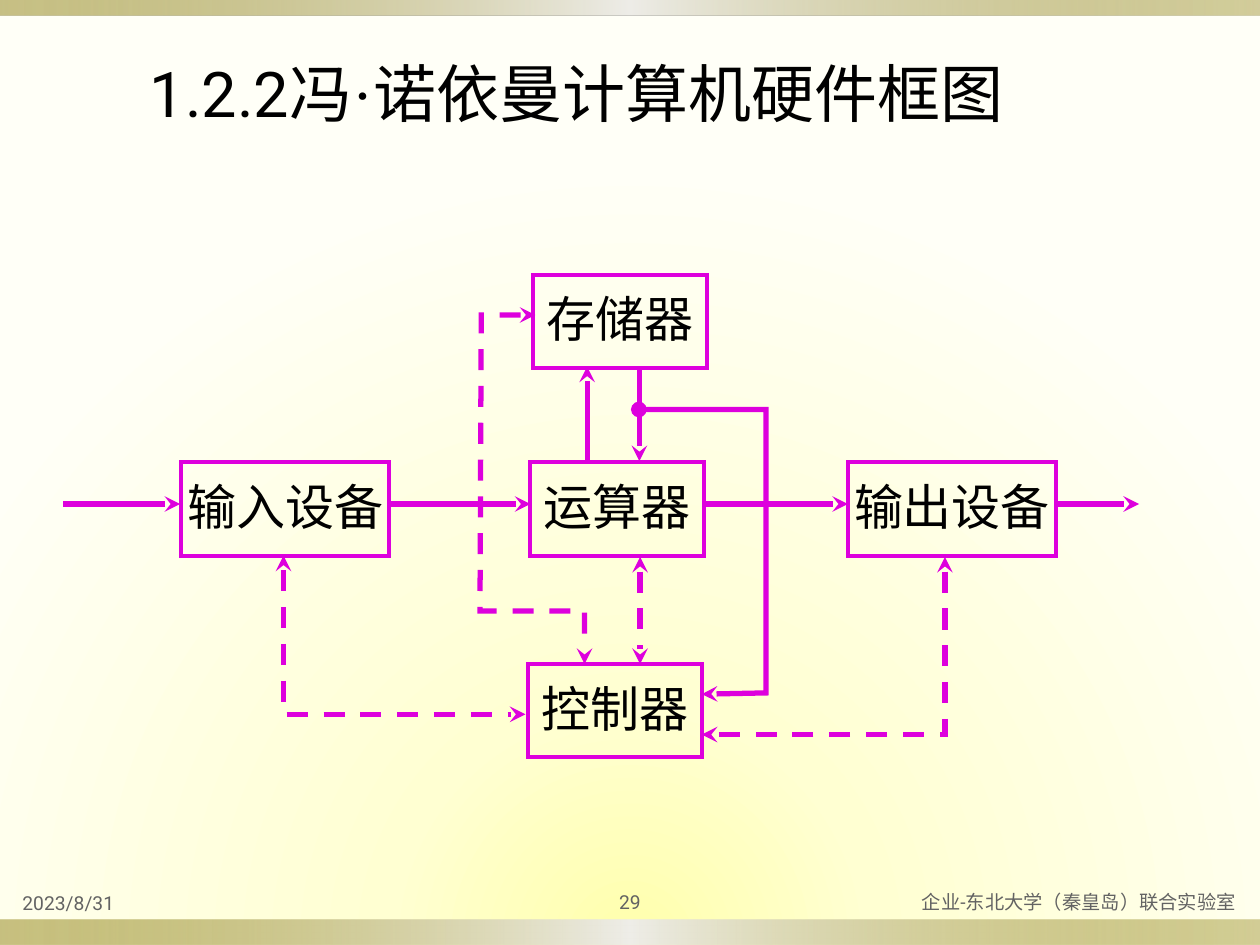
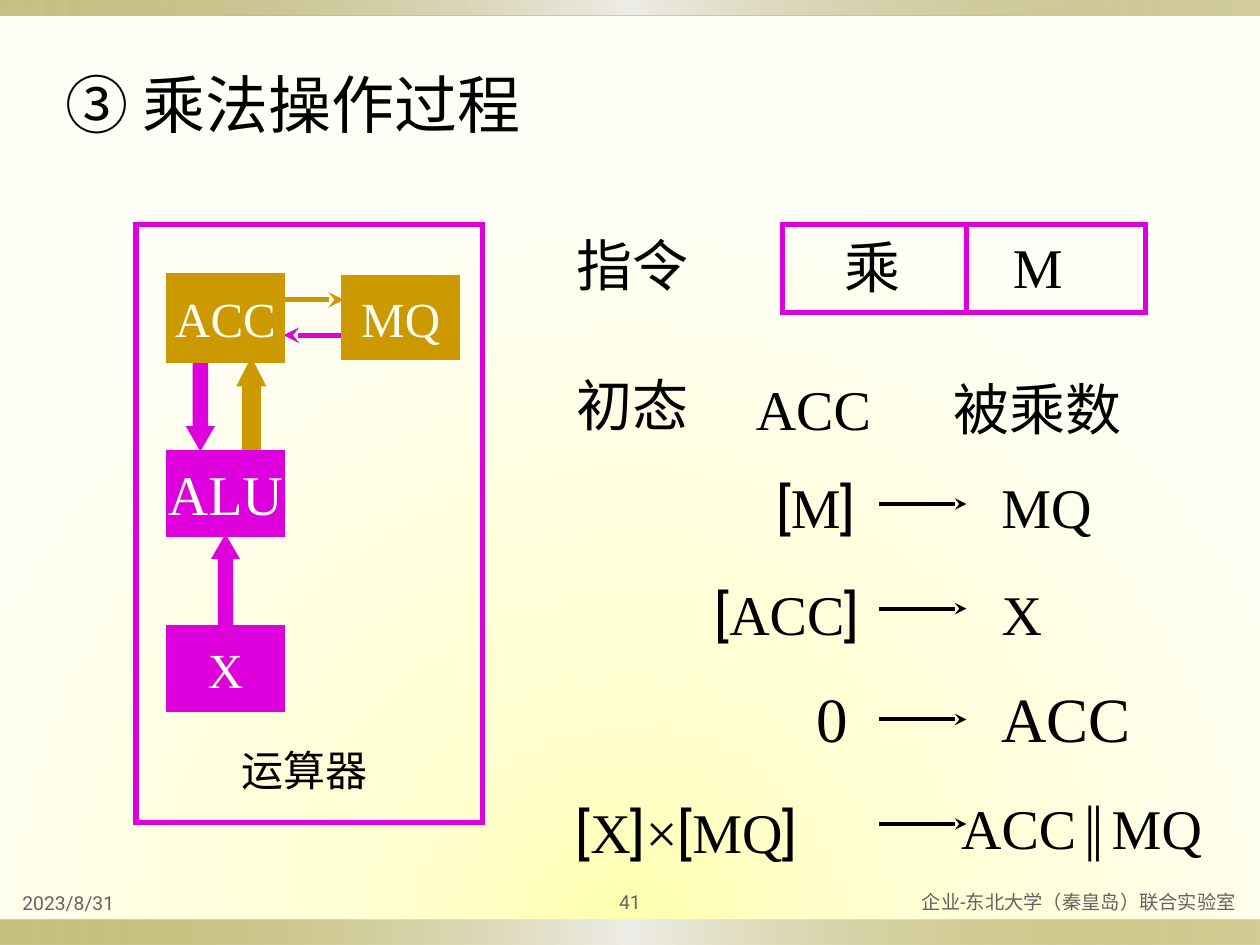
from itertools import groupby

from lxml import etree
from pptx import Presentation
from pptx.dml.color import RGBColor
from pptx.enum.dml import MSO_LINE
from pptx.enum.shapes import MSO_CONNECTOR, MSO_SHAPE
from pptx.enum.text import MSO_ANCHOR, MSO_AUTO_SIZE, PP_ALIGN
from pptx.oxml import parse_xml
from pptx.oxml.ns import nsdecls, qn
from pptx.util import Inches, Pt

RECTANGLE = MSO_SHAPE.RECTANGLE
UP_ARROW = MSO_SHAPE.UP_ARROW
STRAIGHT = MSO_CONNECTOR.STRAIGHT
DASH = MSO_LINE.DASH
LEFT, CENTER, RIGHT = PP_ALIGN.LEFT, PP_ALIGN.CENTER, PP_ALIGN.RIGHT
TOP, MIDDLE, BOTTOM = MSO_ANCHOR.TOP, MSO_ANCHOR.MIDDLE, MSO_ANCHOR.BOTTOM
FIT_SHAPE, NO_FIT = MSO_AUTO_SIZE.SHAPE_TO_FIT_TEXT, MSO_AUTO_SIZE.NONE

CELL = Inches(0.1)
COLUMNS, ROWS = 100, 75
SANS, SERIF = "Roboto", "Times New Roman"
MAGENTA, GOLD, BLACK, IVORY, GRAY = "DD00DD", "CC9900", "000000", "FFFFF4", "636363"
BAND_STOPS = [(0, "918415", 50), (50, "EEEDE8", 100), (100, "918415", 40)]
GLOW_STOPS = [(0, "FFFFAC", 100), (31, "FFFFD2", 100), (100, "FFFFF7", 100)]
BAND_DIRECTION = '<a:lin ang="0" scaled="0"/>'
GLOW_DIRECTION = ('<a:path path="circle"><a:fillToRect l="50000" t="150000" '
                  'r="50000" b="0"/></a:path>')


def grid(*cells):
    return [round(cell * CELL) for cell in cells]


def paint(fill, color):
    fill.solid()
    fill.fore_color.rgb = RGBColor.from_string(color)


def gradient(stops, direction):
    stop_xml = "".join(
        f'<a:gs pos="{position * 1000}"><a:srgbClr val="{color}">'
        f'<a:alpha val="{opacity * 1000}"/></a:srgbClr></a:gs>'
        for position, color, opacity in stops)
    return parse_xml(f'<a:gradFill {nsdecls("a")} rotWithShape="1">'
                     f'<a:gsLst>{stop_xml}</a:gsLst>{direction}</a:gradFill>')


def style_line(shape, color, width, head=None, tail=None, dash=None):
    paint(shape.line.fill, color)
    shape.line.width = Pt(width)
    if dash:
        shape.line.dash_style = dash
    outline = shape.element.spPr.find(qn("a:ln"))
    etree.SubElement(outline, qn("a:miter"), lim="800000")
    for tag, kind in (("a:headEnd", head), ("a:tailEnd", tail)):
        if kind:
            etree.SubElement(outline, qn(tag), type=kind)


def write(text_frame, content, size, color=BLACK, font=SANS, align=LEFT):
    paragraph = text_frame.paragraphs[0]
    paragraph.alignment = align
    if isinstance(content, str):
        paragraph.text = content
        paragraph.font.name = font
    else:
        for text, run_font in content:
            run = paragraph.add_run()
            run.text = text
            run.font.name = run_font
    paragraph.font.size = Pt(size)
    paragraph.font.bold = False
    paint(paragraph.font.fill, color)
    return paragraph


def set_margins(text_frame, horizontal, vertical):
    text_frame.margin_left = text_frame.margin_right = horizontal
    text_frame.margin_top = text_frame.margin_bottom = vertical


def add_label(slide, place, content, size=32, font=SANS, align=LEFT):
    label = slide.shapes.add_textbox(*grid(*place))
    label.text_frame.word_wrap = False
    label.text_frame.auto_size = FIT_SHAPE
    return write(label.text_frame, content, size, font=font, align=align)


def add_preset(slide, kind, place, color, width, filled=False):
    shape = slide.shapes.add_shape(kind, *grid(*place))
    shape.shadow.inherit = False
    if filled:
        paint(shape.fill, color)
    else:
        shape.fill.background()
    style_line(shape, color, width)
    return shape


def add_box(slide, place, text, size, color=MAGENTA, width=2.25,
            filled=False, font=SANS):
    box = add_preset(slide, RECTANGLE, place, color, width, filled)
    text_frame = box.text_frame
    text_frame.word_wrap = False
    text_frame.vertical_anchor = MIDDLE
    set_margins(text_frame, 0, 0)
    if not filled:
        text_frame.margin_bottom = Inches(0.05)
    write(text_frame, text, size, IVORY if filled else BLACK, font, CENTER)


def add_block_arrow(slide, place, color, shaft, head, rotation=0):
    arrow = add_preset(slide, UP_ARROW, place, color, 3, filled=True)
    arrow.adjustments[0], arrow.adjustments[1] = shaft, head
    arrow.rotation = rotation


def add_line(slide, points, color=MAGENTA, width=3, **ends):
    start, *corners = [grid(*point) for point in points]
    if len(corners) == 1:
        line = slide.shapes.add_connector(STRAIGHT, *start, *corners[0])
        style_line(line, color, width, **ends)
        etree.SubElement(line.element.spPr, qn("a:effectLst"))
        return
    builder = slide.shapes.build_freeform(*start)
    builder.add_line_segments(corners, close=False)
    line = builder.convert_to_shape()
    line.fill.background()
    style_line(line, color, width, **ends)
    line.shadow.inherit = False


def bracketed(text):
    return [("".join(part), SANS if is_bracket else SERIF)
            for is_bracket, part in groupby(text, lambda letter: letter in "[]")]


def dress_master(presentation, slide):
    master = presentation.slide_master
    master.background.fill.solid()
    background = master.element.find(".//" + qn("p:bgPr"))
    background.replace(background[0], gradient(GLOW_STOPS, GLOW_DIRECTION))
    for number, (top, height) in enumerate([(0, 1.2), (73, 2)], 101):
        band = slide.shapes.add_shape(RECTANGLE, *grid(0, top, COLUMNS, height))
        band.shadow.inherit = False
        band.line.fill.background()
        band.fill.background()
        properties = band.element.spPr
        properties.replace(properties.find(qn("a:noFill")),
                           gradient(BAND_STOPS, BAND_DIRECTION))
        band.element.nvSpPr.cNvPr.set("id", str(number))
        master.shapes.element.insert(2, band.element)


def add_slide(presentation, title, title_place, number):
    slide = presentation.slides.add_slide(presentation.slide_layouts[5])
    heading = slide.shapes.title
    heading.left, heading.top, heading.width, heading.height = grid(*title_place)
    heading.text_frame.vertical_anchor = TOP
    heading.text_frame.auto_size = NO_FIT
    write(heading.text_frame, title, 36)
    footers = [("2023/8/31", 0.8, 35, LEFT, BOTTOM),
               ("企业-东北大学（秦皇岛）联合实验室", 58.3, 40.8, RIGHT, MIDDLE),
               (number, 45, 10, CENTER, MIDDLE)]
    for text, left, width, align, anchor in footers:
        footer = slide.shapes.add_textbox(*grid(left, 70, width, 3.1))
        footer.text_frame.word_wrap = True
        footer.text_frame.vertical_anchor = anchor
        write(footer.text_frame, text, 11, GRAY, align=align)
    set_margins(footer.text_frame, Inches(0.05), Inches(0.05))
    return slide


def draw_hardware(slide):
    devices = [("存储器", 42.3, 21.8, 13.8), ("输入设备", 14.4, 36.7, 16.5),
               ("运算器", 42.1, 36.7, 13.8), ("控制器", 41.9, 52.7, 13.8),
               ("输出设备", 67.3, 36.7, 16.5)]
    for name, left, top, width in devices:
        add_box(slide, (left, top, width, 7.4), name, 28)

    control_paths = [
        [(22.5, 44.1), (22.5, 56.7), (41.7, 56.7)],
        [(42.5, 25), (38.2, 25), (38.1, 48.5), (46.4, 48.5), (46.4, 52.7)],
        [(50.8, 44.2), (50.8, 52.7)],
        [(75, 44.2), (75, 58.3), (55.7, 58.3)]]
    for points in control_paths:
        add_line(slide, points, head="stealth", tail="stealth", dash=DASH)

    for start, end in [(5, 14.3), (30.8, 42.1), (55.8, 67.3), (84, 90.4)]:
        add_line(slide, [(start, 40), (end, 40)], tail="stealth")
    add_line(slide, [(46.6, 36.7), (46.6, 29.1)], tail="stealth")
    add_line(slide, [(50.75, 29.2), (50.75, 36.6)], tail="stealth")
    add_line(slide, [(50.7, 32.5), (60.8, 32.5), (60.8, 55), (55.7, 55.1)],
             head="oval", tail="stealth")


def draw_arithmetic_unit(slide):
    add_preset(slide, RECTANGLE, (10.8, 17.8, 27.5, 47.5), MAGENTA, 3)
    unit_name = (18.2, 58.6, 12.1, 5)
    add_label(slide, unit_name, "运算器", 24)
    add_line(slide, [(27.3, 26.6), (22.5, 26.6)], tail="stealth")
    add_line(slide, [(22.5, 23.8), (27.3, 23.8)], GOLD, tail="stealth")
    add_block_arrow(slide, (17.1, 42.8, 1.6, 6.9), MAGENTA, 0.5, 0.86)
    add_block_arrow(slide, (15.1, 28.5, 1.6, 6.9), MAGENTA, 0.5, 0.86, 180)
    add_block_arrow(slide, (19.1, 28.8, 1.7, 6.7), GOLD, 0.64, 0.98)
    registers = [("ACC", 13.4, 21.9, 6.7, 28, GOLD), ("MQ", 27.3, 22, 6.4, 28, GOLD),
                 ("ALU", 13.4, 35.9, 6.5, 32, MAGENTA),
                 ("X", 13.4, 49.8, 6.5, 28, MAGENTA)]
    for name, left, top, height, size, color in registers:
        add_box(slide, (left, top, 9, height), name, size, color, 3, True, SERIF)


def draw_multiplication(slide):
    add_label(slide, (44.8, 17.8, 13.2, 6.3), "指令")
    add_preset(slide, RECTANGLE, (62.1, 17.8, 28.8, 7), MAGENTA, 3)
    add_line(slide, [(76.7, 17.7), (76.7, 24.9)])
    add_label(slide, (66, 18, 6.5, 6.3), "乘")
    add_label(slide, (79.4, 18, 8.9, 6.3), "M", font=SERIF)

    add_label(slide, (44.8, 28.9, 13.2, 6.3), "初态")
    add_label(slide, (59, 29.2, 11.3, 6.3), "ACC", font=SERIF)
    add_label(slide, (74.7, 29.2, 15.4, 6.3), "被乘数")

    for row in (40, 48.3, 57.1, 65.4):
        add_line(slide, [(69.8, row), (76.7, row)], BLACK, 2.25, tail="stealth")
    add_label(slide, (59.4, 37, 10.7, 6.3), bracketed("[M]"), align=CENTER)
    add_label(slide, (54.4, 45.5, 16.1, 6.3), bracketed("[ACC]"), align=CENTER)
    add_label(slide, (63.8, 53.4, 4.5, 7), "0", 36, SERIF)
    add_label(slide, (44.7, 62.8, 26.3, 6.3), bracketed("[X]×[MQ]"))
    add_label(slide, (78.5, 37, 9.7, 6.3), "MQ", font=SERIF)
    add_label(slide, (78.5, 45.5, 5.2, 6.3), "X", font=SERIF)
    add_label(slide, (78.5, 53.4, 12.8, 7), "ACC", 36, SERIF)
    product = [(part, SERIF) for part in ("ACC", "∥", "MQ")]
    paragraph = add_label(slide, (75.3, 62.5, 23.2, 6.3), product)
    paragraph.runs[1].font.size = Pt(28)


def main():
    presentation = Presentation()
    presentation.slide_width, presentation.slide_height = grid(COLUMNS, ROWS)

    title = [("1.2.2冯", SANS), ("·", SERIF), ("诺依曼计算机硬件框图", SANS)]
    hardware = add_slide(presentation, title, (10.9, 3.8, 77.7, 7.1), "29")
    dress_master(presentation, hardware)
    draw_hardware(hardware)

    multiplication = add_slide(presentation, "③ 乘法操作过程",
                               (4.2, 4.7, 53.3, 7), "41")
    draw_arithmetic_unit(multiplication)
    draw_multiplication(multiplication)

    presentation.save("out.pptx")


if __name__ == "__main__":
    main()
